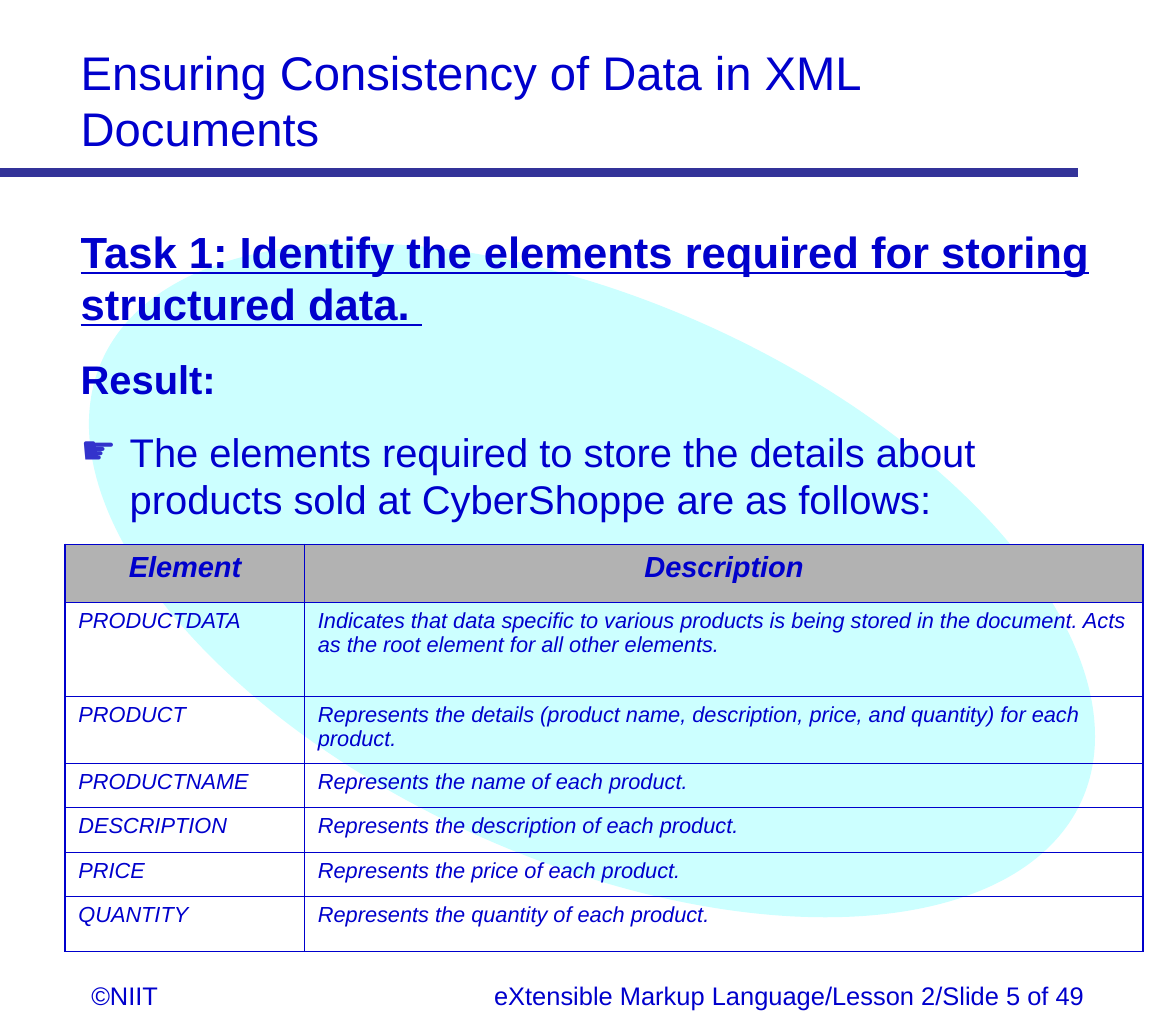
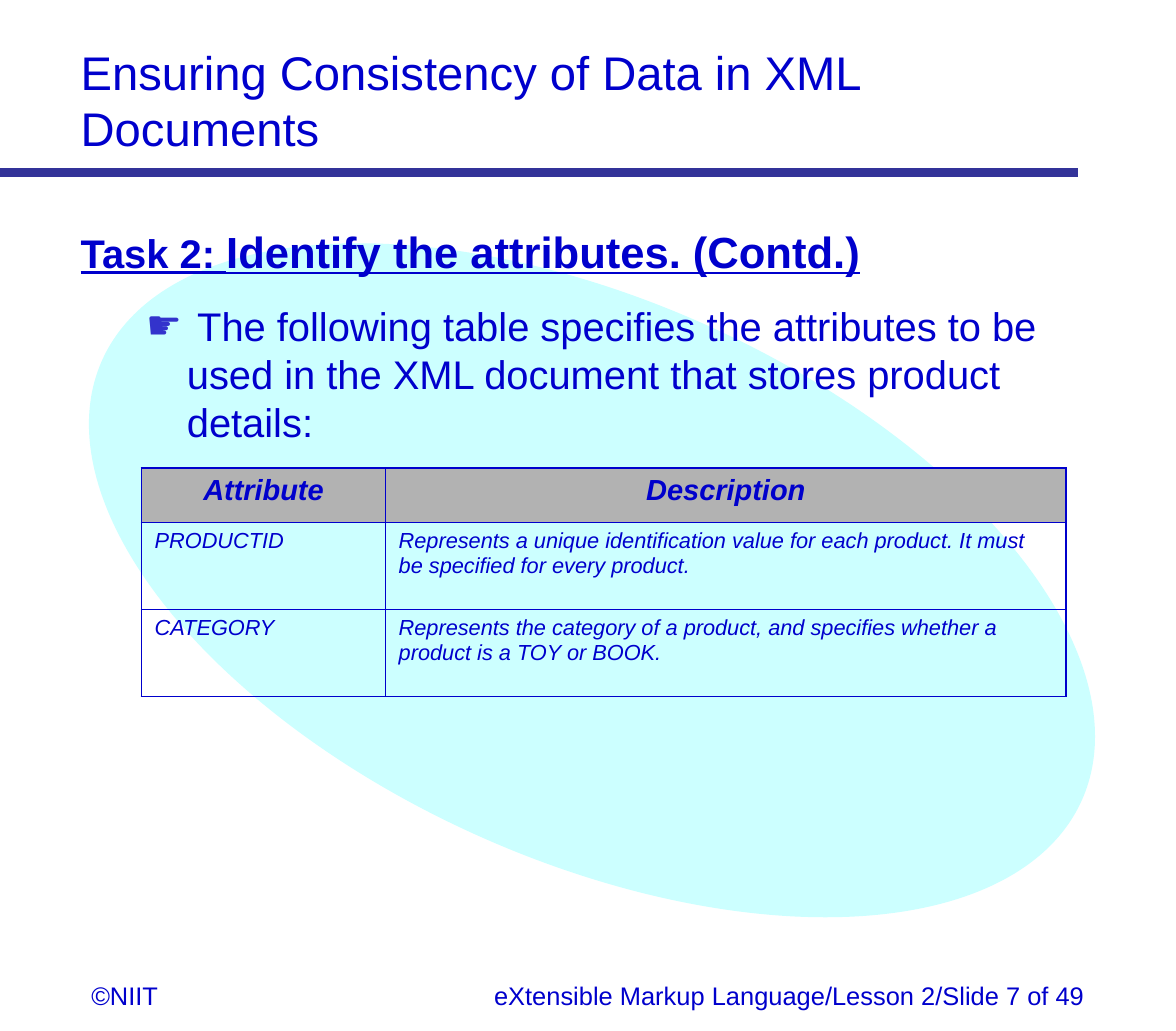
"""Builds two slides on elements and attributes in XML documents."""
import lxml.etree
import pptx
import pptx.dml.color
import pptx.enum.shapes
import pptx.enum.text
import pptx.oxml
import pptx.oxml.ns
import pptx.util

Pt = pptx.util.Pt
RGB = pptx.dml.color.RGBColor
ALIGN = pptx.enum.text.PP_ALIGN
BLUE = RGB(0x00, 0x00, 0xCC)
NAVY = RGB(0x33, 0x33, 0x99)
MARK = RGB(0x33, 0x33, 0xCC)
AQUA = RGB(0xCC, 0xFF, 0xFF)
GRAY = RGB(0xB2, 0xB2, 0xB2)
FONT = "Arial"
THICK, THIN = 1.08, 0.45

TITLE = "Ensuring Consistency of Data in XML Documents"
OWNER = "©NIIT"
COURSE = "eXtensible Markup Language/Lesson 2/Slide {} of 49"
HEAD = {"size": 24, "bold": True, "under": True}
HANG = {"left": 27, "hang": 27}

SLIDES = [
    {
        "page": 5,
        "body": (37.4, 120.2, 572.4, 403.9),
        "text": [
            ([("Task 1: Identify the elements required for storing", HEAD)], HANG),
            ([("structured data. ", HEAD)], HANG),
            ([("Result:", {"size": 22, "bold": True})], {**HANG, "before": 13.8}),
            ([("The elements required to store the details about products sold "
               "at CyberShoppe are as follows:", {"size": 22})],
             {**HANG, "before": 13.8, "mark": "☛"}),
        ],
        "place": (36, 300),
        "cols": [132, 462],
        "rows": [31.8, 51.8, 36.8, 24.5, 24.5, 24.5, 30.4],
        "cells": [
            ("Element", "Description"),
            ("PRODUCTDATA", "Indicates that data specific to various products is being stored "
             "in the document. Acts as the root element for all other elements."),
            ("PRODUCT", "Represents the details (product name, description, price, "
             "and quantity) for each product."),
            ("PRODUCTNAME", "Represents the name of each product."),
            ("DESCRIPTION", "Represents the description of each product."),
            ("PRICE", "Represents the price of each product."),
            ("QUANTITY", "Represents the quantity of each product."),
        ],
    },
    {
        "page": 7,
        "body": (37.4, 120.2, 574.6, 414),
        "text": [
            ([("Task 2: ", {**HEAD, "size": 22}),
              ("Identify the attributes. (Contd.)", HEAD)], HANG),
            ([(" The following table specifies the attributes to be used in the XML "
               "document that stores product details:", {"size": 22})],
             {"left": 58.5, "hang": 22.5, "before": 13.8, "mark": "☛", "level": 1}),
        ],
        "place": (78, 257.8),
        "cols": [134.5, 375],
        "rows": [30, 48, 48],
        "cells": [
            ("Attribute", "Description"),
            ("PRODUCTID", "Represents a unique identification value for each product. "
             "It must be specified for every product."),
            ("CATEGORY", "Represents the category of a product, and specifies whether "
             "a product is a TOY or BOOK."),
        ],
    },
]


def write(par, text, size=12, bold=False, ital=False, under=False):
    run = par.add_run()
    run.text = text
    font = run.font
    font.name, font.size = FONT, Pt(size)
    font.bold, font.italic, font.underline = bold, ital, under
    font.color.rgb = BLUE


def indent(par, left, hang, before=0, mark=None, level=0):
    par.level = level
    par.space_before = Pt(before)
    props = par._p.get_or_add_pPr()
    props.set("marL", str(Pt(left)))
    props.set("indent", str(-Pt(hang)))
    if mark:
        color = lxml.etree.SubElement(props, pptx.oxml.ns.qn("a:buClr"))
        lxml.etree.SubElement(color, pptx.oxml.ns.qn("a:srgbClr"), val=str(MARK))
        lxml.etree.SubElement(props, pptx.oxml.ns.qn("a:buFont"), typeface=FONT)
        lxml.etree.SubElement(props, pptx.oxml.ns.qn("a:buChar"), char=mark)


def box(slide, place):
    frame = slide.shapes.add_textbox(*map(Pt, place)).text_frame
    frame.word_wrap = True
    return frame


def label(slide, place, text, size, align=ALIGN.LEFT):
    par = box(slide, place).paragraphs[0]
    par.alignment = align
    write(par, text, size=size)


def frame_page(slide, page):
    oval = slide.shapes.add_shape(pptx.enum.shapes.MSO_SHAPE.OVAL,
                                  Pt(172.1), Pt(23.8), Pt(308.2), Pt(591.8))
    oval.rotation = 294.2
    oval.shadow.inherit = False
    oval.fill.solid()
    oval.fill.fore_color.rgb = AQUA
    oval.line.fill.background()
    label(slide, (37.4, 20.2, 561.6, 69.8), TITLE, 26)
    label(slide, (43.2, 536.4, 80.6, 24.5), OWNER, 14)
    label(slide, (226.8, 536.4, 378, 24.5), COURSE.format(page), 14, ALIGN.RIGHT)
    rule = slide.shapes.add_connector(pptx.enum.shapes.MSO_CONNECTOR.STRAIGHT,
                                      0, Pt(95), Pt(594), Pt(95))
    rule.line.color.rgb = NAVY
    rule.line.width = Pt(5)
    lxml.etree.SubElement(rule._element.spPr, pptx.oxml.ns.qn("a:effectLst"))


def border(cell, widths):
    props = cell._tc.get_or_add_tcPr()
    for spot, (side, width) in enumerate(zip("LRTB", widths)):
        props.insert(spot, pptx.oxml.parse_xml(
            f'<a:ln{side} {pptx.oxml.ns.nsdecls("a")} w="{Pt(width)}"><a:solidFill>'
            f'<a:srgbClr val="{BLUE}"/></a:solidFill></a:ln{side}>'))


def fill_cell(cell, text, head):
    par = cell.text_frame.paragraphs[0]
    if head:
        cell.fill.solid()
        cell.fill.fore_color.rgb = GRAY
        par.alignment = ALIGN.CENTER
    else:
        cell.fill.background()
    write(par, text, size=16 if head else 12, bold=head, ital=True)


def add_grid(slide, place, cols, rows, cells):
    table = slide.shapes.add_table(len(rows), len(cols), *map(Pt, place),
                                   Pt(sum(cols)), Pt(sum(rows))).table
    table.first_row = table.horz_banding = False
    for col, width in zip(table.columns, cols):
        col.width = Pt(width)
    for y, (row, height) in enumerate(zip(table.rows, rows)):
        row.height = Pt(height)
        for x, cell in enumerate(row.cells):
            fill_cell(cell, cells[y][x], y == 0)
            edges = (x == 0, x == len(cols) - 1, y == 0, y == len(rows) - 1)
            border(cell, [THICK if edge else THIN for edge in edges])


def main():
    deck = pptx.Presentation()
    deck.slide_width, deck.slide_height = Pt(648), Pt(568)
    for data in SLIDES:
        slide = deck.slides.add_slide(deck.slide_layouts[6])
        frame_page(slide, data["page"])
        frame = box(slide, data["body"])
        for spot, (runs, form) in enumerate(data["text"]):
            par = frame.add_paragraph() if spot else frame.paragraphs[0]
            indent(par, **form)
            for text, style in runs:
                write(par, text, **style)
        add_grid(slide, data["place"], data["cols"], data["rows"], data["cells"])
    deck.save("out.pptx")


if __name__ == "__main__":
    main()
